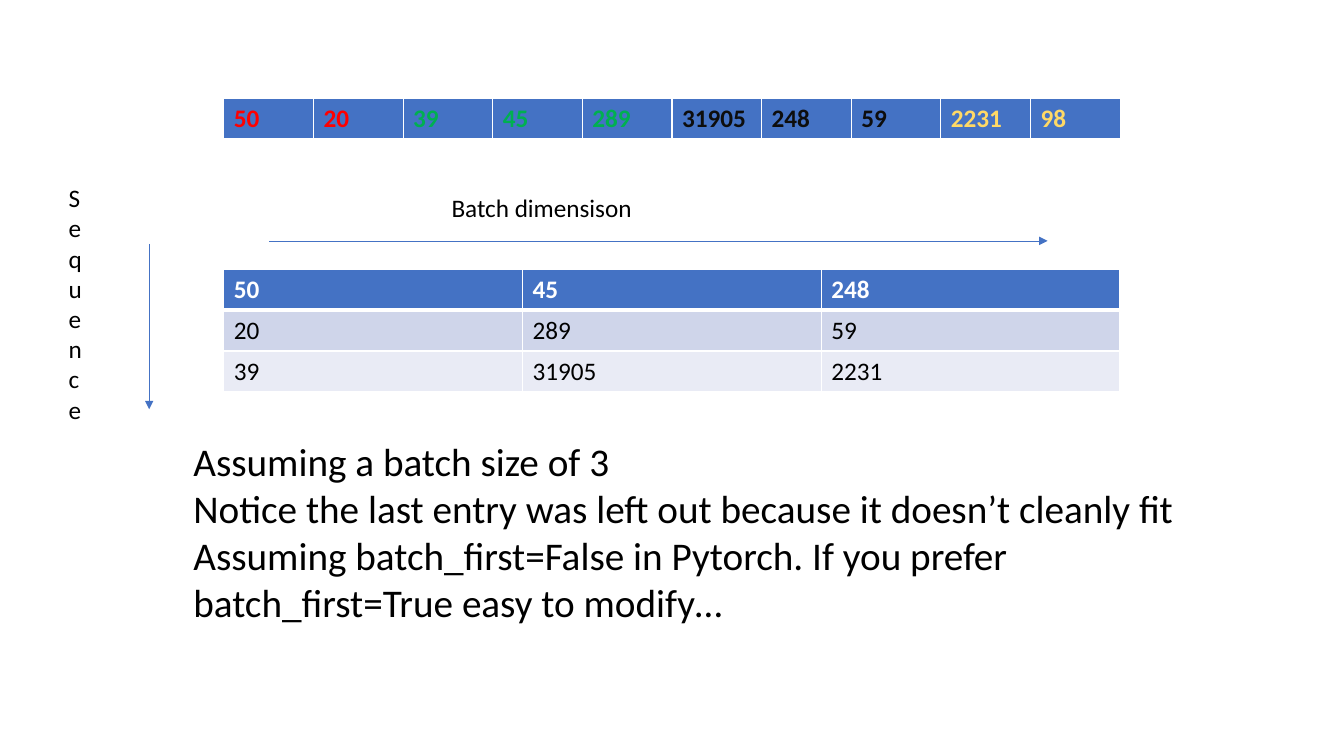
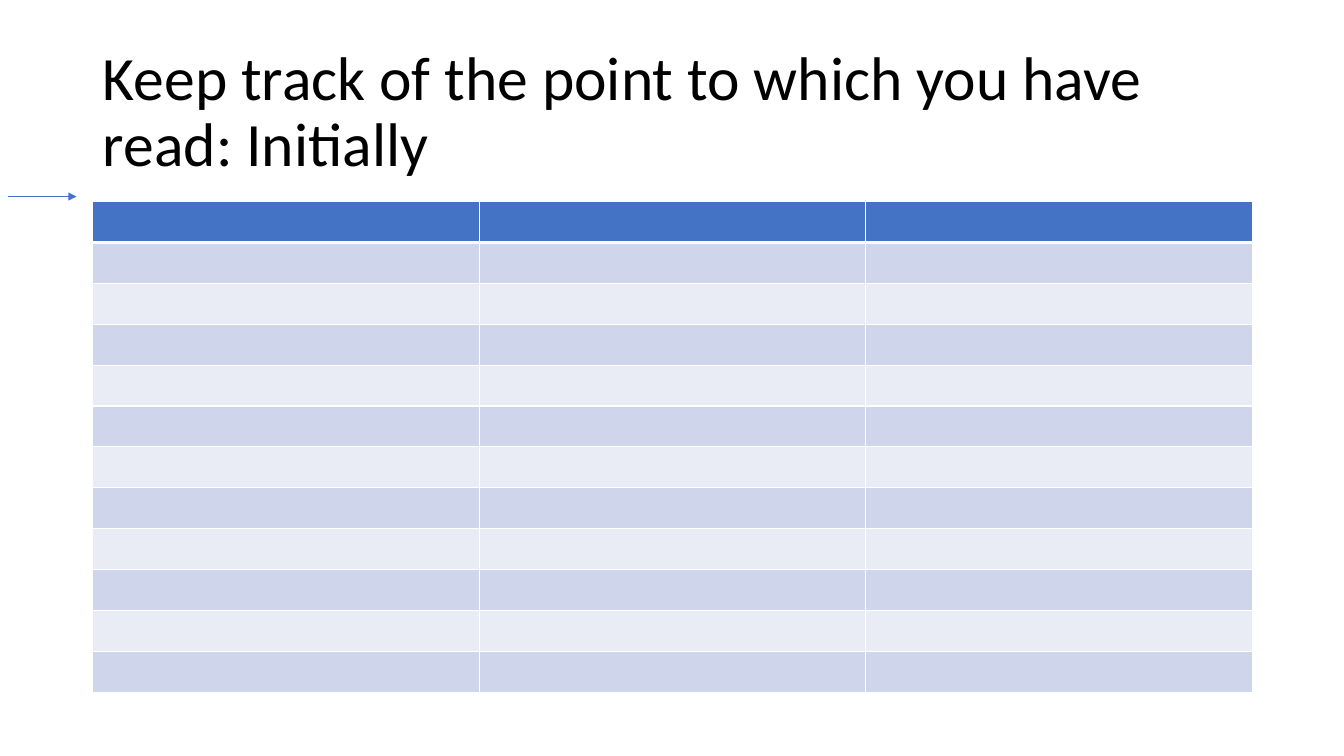
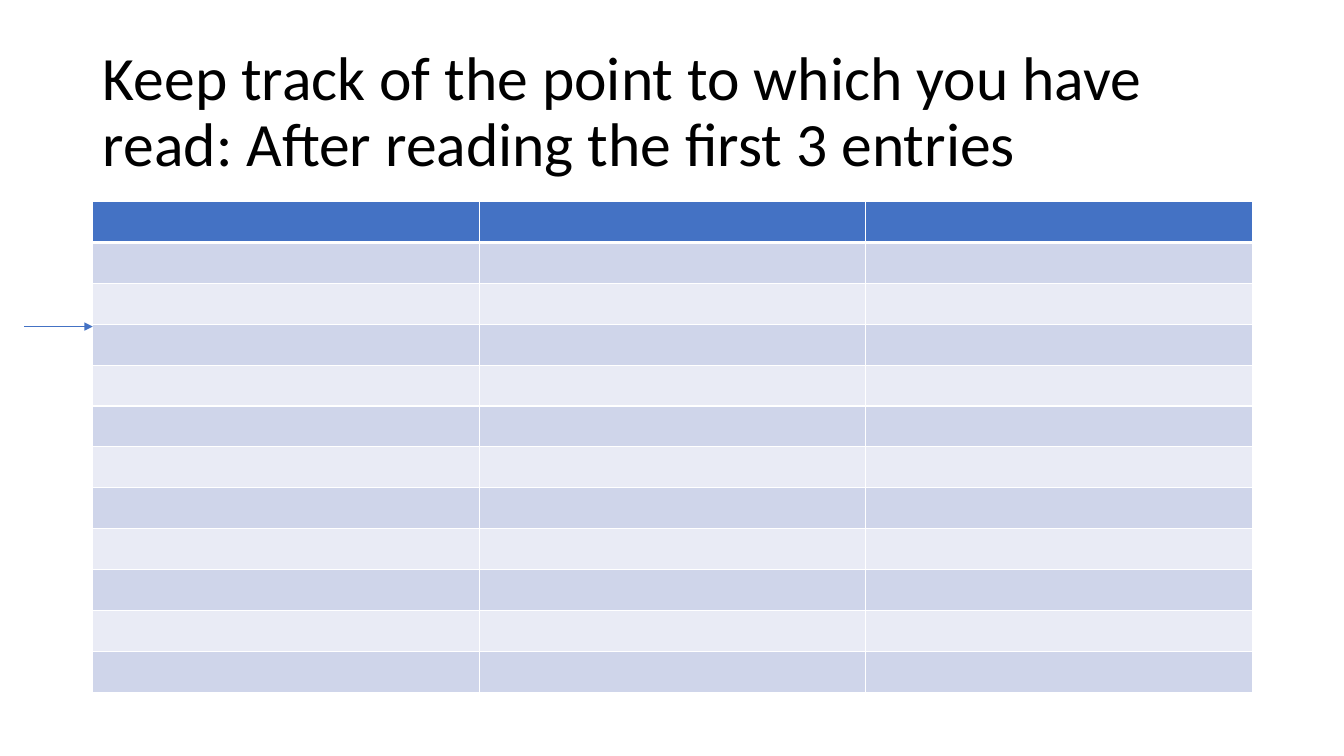
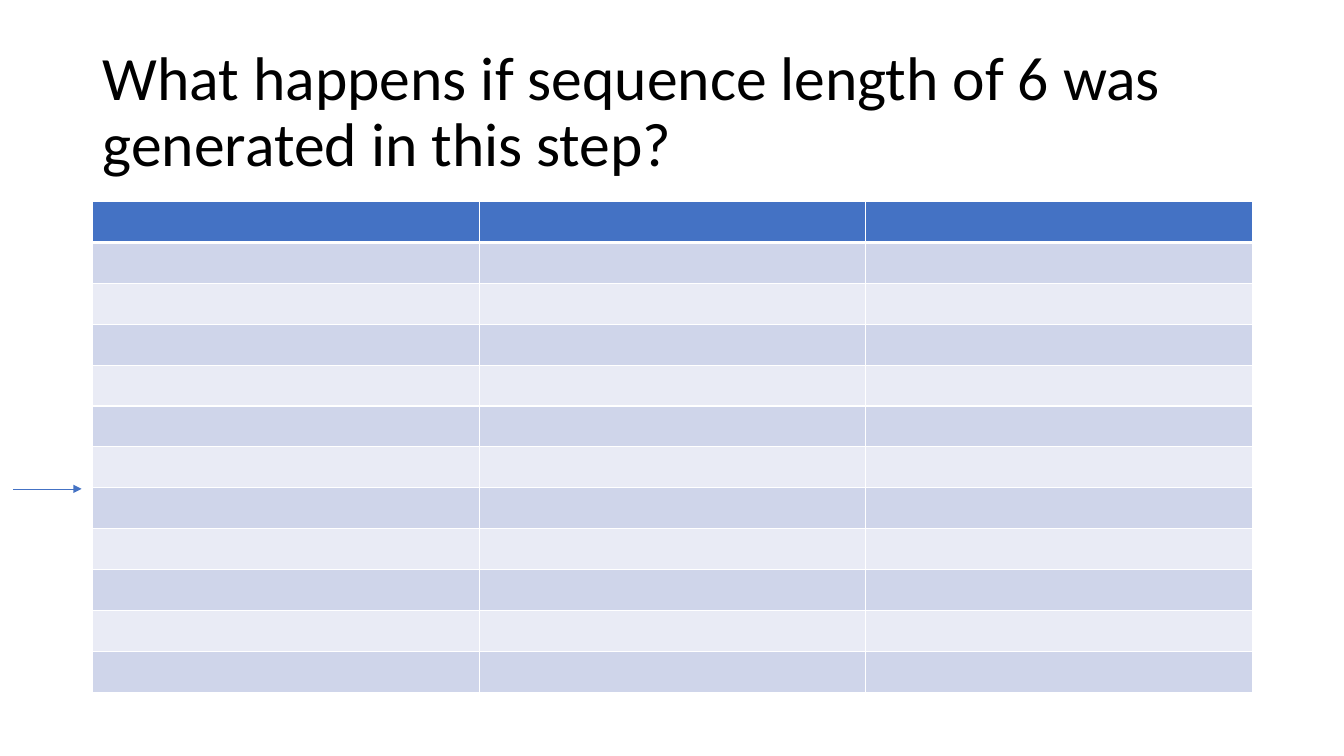
from pptx import Presentation
from pptx.dml.color import RGBColor
from pptx.enum.shapes import MSO_CONNECTOR
from pptx.enum.text import MSO_ANCHOR, MSO_AUTO_SIZE, PP_ALIGN
from pptx.oxml.ns import qn
from pptx.util import Inches, Pt
from lxml import etree

STRAIGHT = MSO_CONNECTOR.STRAIGHT
MIDDLE = MSO_ANCHOR.MIDDLE
NO_FIT = MSO_AUTO_SIZE.NONE
LEFT = PP_ALIGN.LEFT
TITLE_ONLY, BLANK = 5, 6
FONT = "Calibri"
COLORS = {
    "blue": "4472C4", "band_dark": "CFD5EA", "band_light": "E9EBF5",
    "white": "FFFFFF", "black": "000000", "ink": "0D0D0D",
    "red": "FF0000", "green": "00B050", "gold": "FFD966",
}
TOKENS = [
    ("50", "red"), ("20", "red"), ("39", "green"), ("45", "green"), ("289", "green"),
    ("31905", "ink"), ("248", "ink"), ("59", "ink"), ("2231", "gold"), ("98", "gold"),
]
BATCHES = [["50", "45", "248"], ["20", "289", "59"], ["39", "31905", "2231"]]
NOTES = [
    "Assuming a batch size of 3",
    "Notice the last entry was left out because it doesn’t cleanly fit",
    "Assuming batch_first=False in Pytorch. If you prefer batch_first=True easy to modify…",
]
READING_STEPS = [
    ("Keep track of the point to which you have read: Initially", 0.08, 1.95),
    ("Keep track of the point to which you have read: After reading the first 3 entries", 0.24, 3.24),
    ("What happens if sequence length of 6 was generated in this step?", 0.13, 4.85),
]
TITLE_BOX = (0.92, 0.4, 11.5, 1.45)
GRID_BOX = (0.92, 2, 11.5, 4.87)
GRID_ROWS, GRID_COLUMNS = 12, 3
POINTER_LENGTH = 0.68


def rgb(name):
    """Return the palette colour of that name."""
    return RGBColor.from_string(COLORS[name])


def write(frame, *lines, size=18, color="black", bold=False, spacing=None):
    """Fill a text frame with one formatted paragraph per line."""
    for index, line in enumerate(lines):
        paragraph = frame.add_paragraph() if index else frame.paragraphs[0]
        paragraph.alignment = LEFT
        paragraph.line_spacing = spacing
        run = paragraph.add_run()
        run.text = line
        run.font.name, run.font.size, run.font.bold = FONT, Pt(size), bold
        run.font.color.rgb = rgb(color)


def add_label(slide, box, *lines, side_inset=0.1, **style):
    """Add a wrapping text box."""
    frame = slide.shapes.add_textbox(*map(Inches, box)).text_frame
    frame.word_wrap = True
    frame.margin_left = frame.margin_right = Inches(side_inset)
    write(frame, *lines, **style)


def add_arrow(slide, start, end):
    """Draw a thin blue arrow between two points."""
    arrow = slide.shapes.add_connector(STRAIGHT, *map(Inches, start + end))
    arrow.line.color.rgb = rgb("blue")
    arrow.line.width = Pt(0.5)
    etree.SubElement(arrow.line._get_or_add_ln(), qn("a:tailEnd"), type="triangle")
    etree.SubElement(arrow._element.spPr, qn("a:effectLst"))


def style_cell(cell, fill, top=1, bottom=1):
    """Give a cell white borders and a solid fill."""
    properties = cell._tc.get_or_add_tcPr()
    for side, width in (("L", 1), ("R", 1), ("T", top), ("B", bottom)):
        border = etree.SubElement(properties, qn(f"a:ln{side}"), w=str(Pt(width)))
        solid = etree.SubElement(border, qn("a:solidFill"))
        etree.SubElement(solid, qn("a:srgbClr"), val=COLORS["white"])
    cell.fill.solid()
    cell.fill.fore_color.rgb = rgb(fill)


def add_grid(slide, box, rows, header_colors=None):
    """Add a table with a blue header row and alternating bands below it."""
    left, top, width, height = map(Inches, box)
    columns = len(rows[0])
    header_colors = header_colors or ["white"] * columns
    table = slide.shapes.add_table(len(rows), columns, left, top, width, height).table
    for r, values in enumerate(rows):
        header = r == 0
        band = "blue" if header else ("band_light", "band_dark")[r % 2]
        for c, value in enumerate(values):
            cell = table.cell(r, c)
            style_cell(cell, band, top=3 if r == 1 else 1, bottom=3 if header else 1)
            if value:
                write(cell.text_frame, value, bold=header,
                      color=header_colors[c] if header else "black")


def add_title(slide, box, text):
    """Place and format the title placeholder."""
    title = slide.shapes.title
    title.left, title.top, title.width, title.height = map(Inches, box)
    frame = title.text_frame
    frame.word_wrap, frame.auto_size, frame.vertical_anchor = True, NO_FIT, MIDDLE
    write(frame, text, size=44, spacing=0.9)


def build_batch_slide(deck):
    """Show how a token sequence is arranged into batches."""
    slide = deck.slides.add_slide(deck.slide_layouts[BLANK])
    values, colors = zip(*TOKENS)
    add_grid(slide, (2.22, 0.98, 8.89, 0.4), [values], colors)
    add_grid(slide, (2.22, 2.67, 8.89, 1.22), BATCHES)
    add_label(slide, (1.82, 4.29, 10.33, 1.99), *NOTES, size=28)
    add_arrow(slide, (2.67, 2.39), (10.39, 2.39))
    add_arrow(slide, (1.48, 2.42), (1.48, 4.06))
    add_label(slide, (4.38, 1.86, 3.58, 0.41), "Batch dimensison")
    add_label(slide, (0.68, 1.76, 0.15, 2.52), "Sequence", side_inset=0)


def build_reading_slide(deck, title, pointer_left, pointer_top):
    """Show an empty grid with a pointer at the reading position."""
    slide = deck.slides.add_slide(deck.slide_layouts[TITLE_ONLY])
    add_title(slide, TITLE_BOX, title)
    add_grid(slide, GRID_BOX, [[""] * GRID_COLUMNS] * GRID_ROWS)
    add_arrow(slide, (pointer_left, pointer_top), (pointer_left + POINTER_LENGTH, pointer_top))


def main():
    """Build the deck and save it."""
    deck = Presentation()
    deck.slide_width, deck.slide_height = Inches(13.33), Inches(7.5)
    build_batch_slide(deck)
    for step in READING_STEPS:
        build_reading_slide(deck, *step)
    deck.save("out.pptx")


main()
